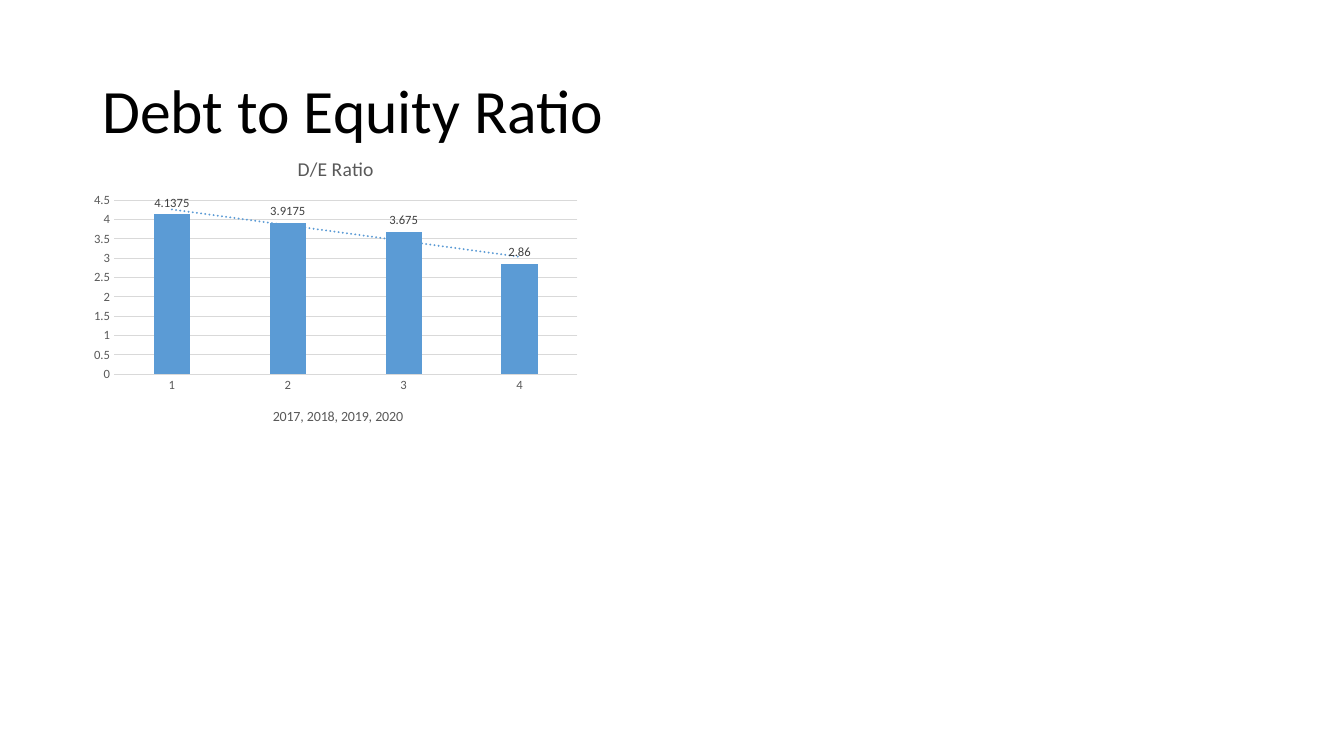
"""Build the Debt to Equity Ratio slide with its column chart and trend line."""
import pptx
import pptx.chart.data
import pptx.dml.color
import pptx.enum.chart
import pptx.enum.text
import pptx.oxml
import pptx.oxml.ns
import pptx.util
from pptx.util import Cm

COLORS = {"title": "000000", "bar": "5B9BD5", "text": "595959",
          "label": "404040", "grid": "D9D9D9", "page": "FFFFFF"}
RATIOS = {"1": 4.1375, "2": 3.9175, "3": 3.675, "4": 2.86}


def style_font(font, size, color):
    settings = {"name": "Calibri", "size": pptx.util.Pt(size), "bold": False}
    for name, value in settings.items():
        setattr(font, name, value)
    font.color.rgb = pptx.dml.color.RGBColor.from_string(COLORS[color])


def place_part(part, index, places):
    for layout in part.findall(pptx.oxml.ns.qn("c:layout")):
        part.remove(layout)
    values = "".join(f'<c:{key} val="{value}"/>' for key, value in places.items())
    part.insert(index, pptx.oxml.parse_xml(
        f'<c:layout {pptx.oxml.ns.nsdecls("c")}><c:manualLayout>{values}</c:manualLayout></c:layout>'))


deck = pptx.Presentation()
deck.slide_width, deck.slide_height = Cm(33.87), Cm(19.05)
page = deck.slides.add_slide(deck.slide_layouts[6])
page.background.fill.solid()
page.background.fill.fore_color.rgb = pptx.dml.color.RGBColor.from_string(COLORS["page"])

box = page.shapes.add_textbox(Cm(2.33), Cm(1.01), Cm(29.21), Cm(3.68))
frame = box.text_frame
frame.word_wrap = True
frame.vertical_anchor = pptx.enum.text.MSO_ANCHOR.MIDDLE
para = frame.paragraphs[0]
para.line_spacing = 0.9
span = para.add_run()
span.text = "Debt to Equity Ratio"
style_font(span.font, 44, "title")

data = pptx.chart.data.CategoryChartData()
data.categories = list(RATIOS)
data.add_series("D/E Ratio", list(RATIOS.values()))
chart = page.shapes.add_chart(
    pptx.enum.chart.XL_CHART_TYPE.COLUMN_CLUSTERED,
    Cm(2.11), Cm(3.53), Cm(12.7), Cm(7.57), data).chart
chart.has_legend = False
style_font(chart.font, 10, "title")

years, ratios = chart.category_axis, chart.value_axis
for titled, frame, text, size in (
        (chart, chart.chart_title.text_frame, "D/E Ratio", 14),
        (years, years.axis_title.text_frame, "2017, 2018, 2019, 2020", 10)):
    titled.has_title = True
    frame.text = text
    style_font(frame.paragraphs[0].runs[0].font, size, "text")

for axis in (years, ratios):
    style_font(axis.tick_labels.font, 9, "text")
    axis.major_tick_mark = pptx.enum.chart.XL_TICK_MARK.NONE
    axis.minor_tick_mark = pptx.enum.chart.XL_TICK_MARK.NONE
for name, value in {"minimum_scale": 0, "maximum_scale": 4.5, "major_unit": 0.5}.items():
    setattr(ratios, name, value)
ratios.format.line.fill.background()
for line in (years.format.line, ratios.major_gridlines.format.line):
    line.color.rgb = pptx.dml.color.RGBColor.from_string(COLORS["grid"])
    line.width = pptx.util.Pt(0.75)

plot = chart.plots[0]
for name, value in {"gap_width": 219, "overlap": -27, "vary_by_categories": False}.items():
    setattr(plot, name, value)
series = plot.series[0]
series.format.fill.solid()
series.format.fill.fore_color.rgb = pptx.dml.color.RGBColor.from_string(COLORS["bar"])
labels = series.data_labels
labels.show_value = True
labels.position = pptx.enum.chart.XL_LABEL_POSITION.OUTSIDE_END
style_font(labels.font, 9, "label")

trend = pptx.oxml.parse_xml(
    f'<c:trendline {pptx.oxml.ns.nsdecls("c", "a")}><c:spPr>'
    f'<a:ln w="{pptx.util.Pt(1.5)}" cap="rnd"><a:solidFill><a:srgbClr val="{COLORS["bar"]}"/></a:solidFill>'
    '<a:prstDash val="sysDot"/></a:ln></c:spPr><c:trendlineType val="linear"/>'
    '<c:dispRSqr val="0"/><c:dispEq val="0"/></c:trendline>')
series._element.find(pptx.oxml.ns.qn("c:cat")).addprevious(trend)

plot_area = chart._chartSpace.chart.plotArea
place_part(plot_area, 0, {"layoutTarget": "inner", "xMode": "edge", "yMode": "edge",
                          "x": 0.06, "y": 0.2, "w": 0.92, "h": 0.58})
place_part(years.axis_title._element, 1, {"xMode": "edge", "yMode": "edge", "x": 0.37, "y": 0.88})

deck.save("out.pptx")
